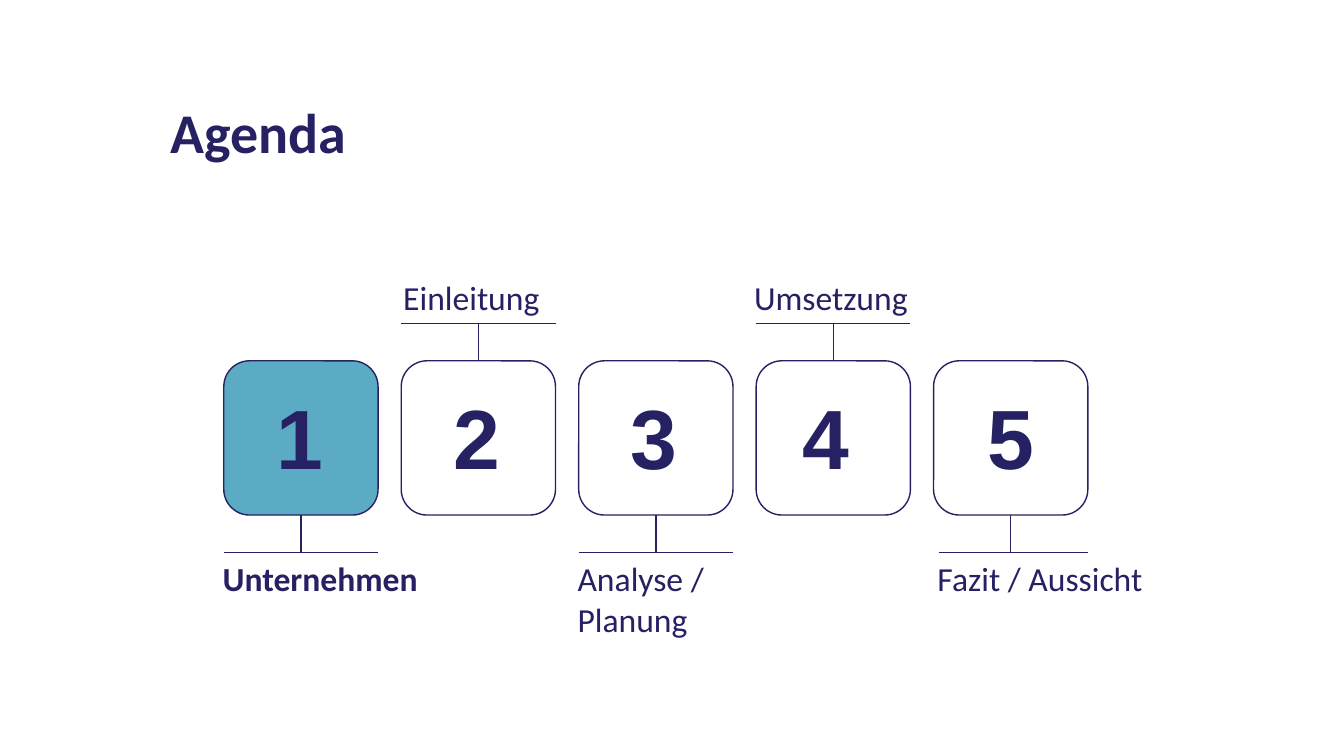
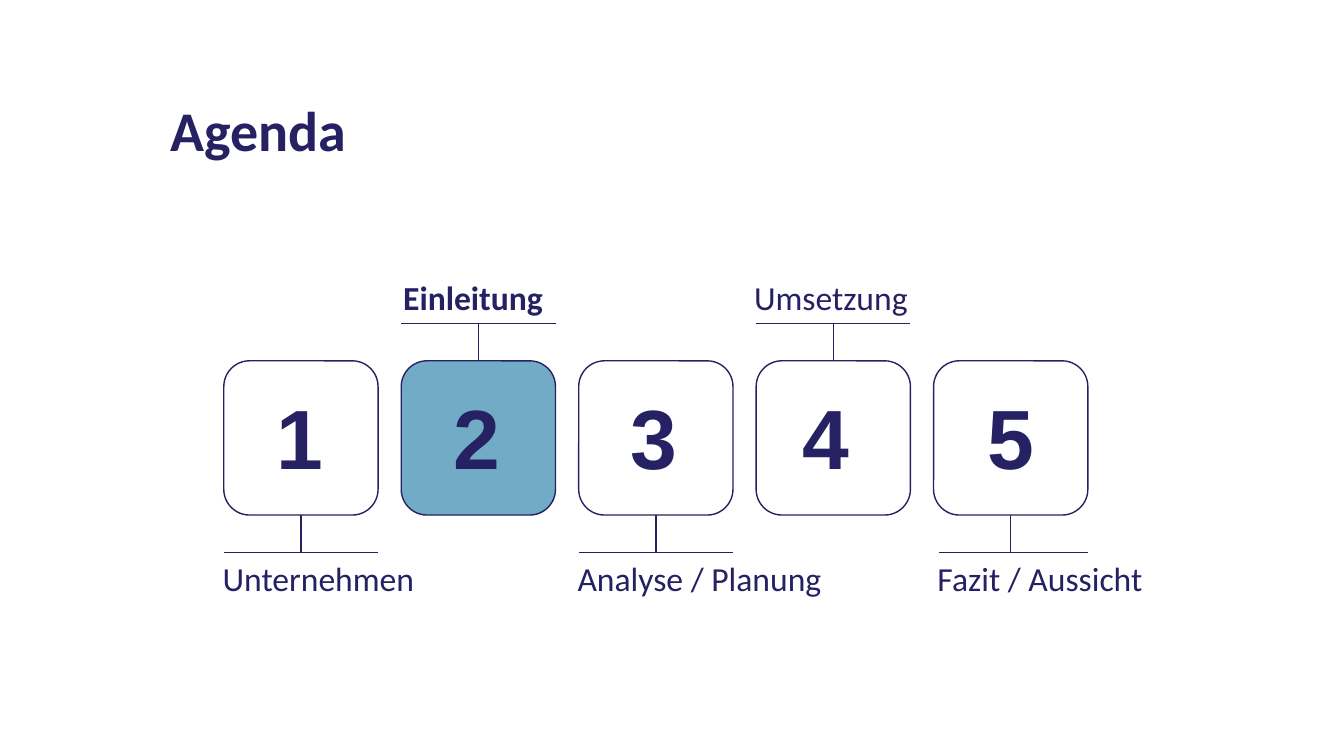
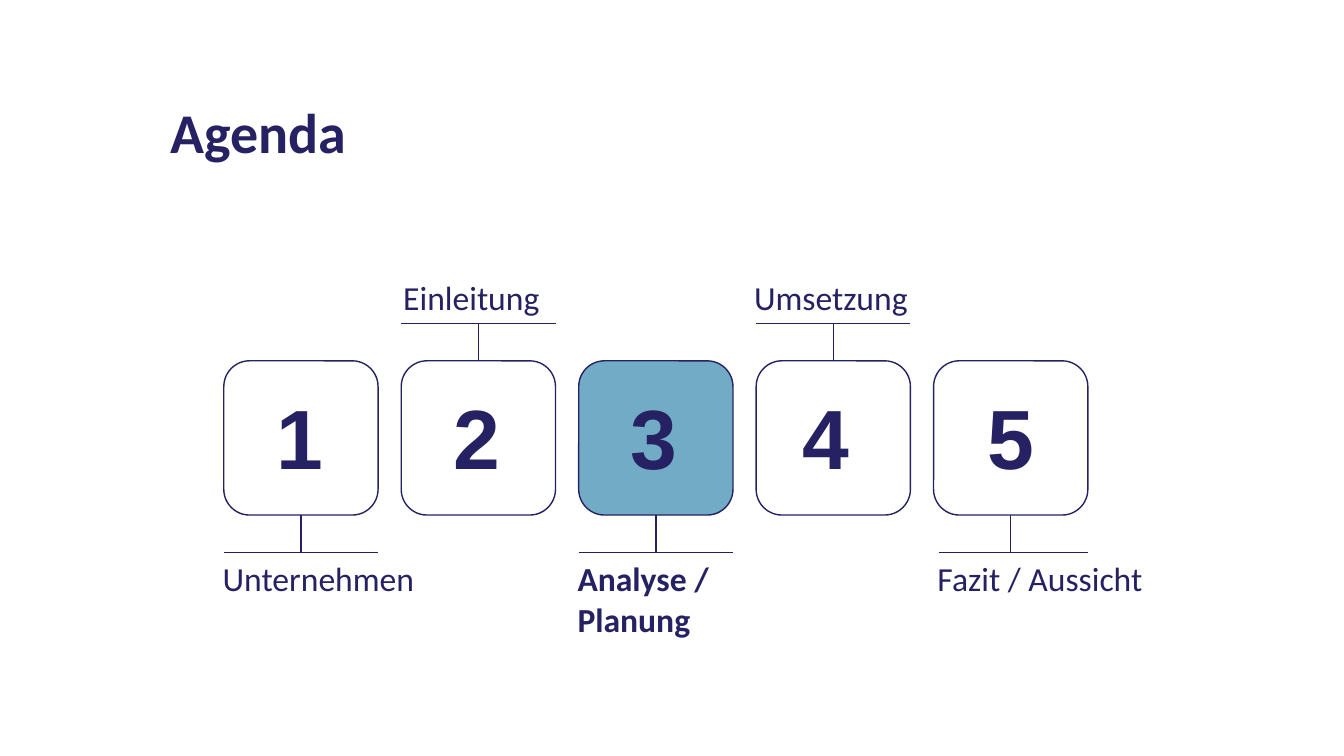
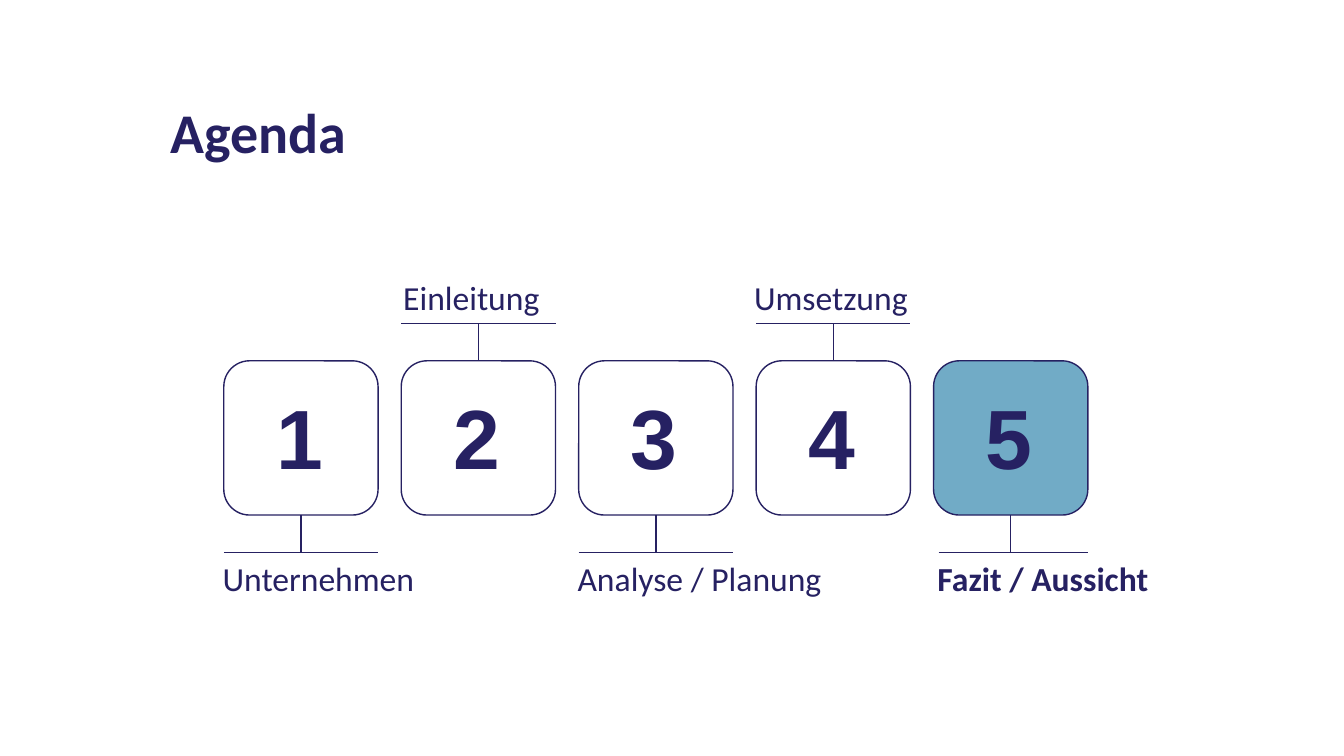
from dataclasses import dataclass

from lxml.etree import SubElement
from pptx import Presentation
from pptx.dml.color import RGBColor
from pptx.enum.shapes import MSO_CONNECTOR, MSO_SHAPE
from pptx.enum.text import MSO_ANCHOR, MSO_AUTO_SIZE, PP_ALIGN
from pptx.oxml.ns import qn
from pptx.util import Inches, Pt

NAVY = "262162"
TEAL = "007CA4"
SKY = "71ABC6"
HEADING_FONT = "Calibri"
NUMBER_FONT = "Arial"

FIRST_COLUMN = 2.22
COLUMN_PITCH = 1.76
BOX_SIZE = 1.53
BOX_TOP = 3.58
BOX_BOTTOM = BOX_TOP + BOX_SIZE
STEM_LENGTH = 0.37
NUMBER_INSET = 0.42
NUMBER_TOP = 3.78


@dataclass
class Step:
    label: str
    above: bool
    label_shift: float
    label_width: float = 2.35
    rule_inset: float = 0


STEPS = [
    Step("Unternehmen", False, -0.11),
    Step("Einleitung", True, -0.08),
    Step("Analyse / Planung", False, -0.11, label_width=2.64),
    Step("Umsetzung", True, -0.12),
    Step("Fazit / Aussicht", False, -0.06, label_width=2.57, rule_inset=0.05),
]


@dataclass
class Agenda:
    """One agenda slide; number_shifts moves single numbers sideways."""
    active: int
    highlight: str
    opacity: int
    number_shifts: dict
    label_widths: dict
    title_top: float = 0.29


OFF_CENTRE = {4: -0.06, 5: 0.02}
AGENDAS = [
    Agenda(1, TEAL, 64, OFF_CENTRE, {3: 2.58}),
    Agenda(2, SKY, 100, OFF_CENTRE, {}, title_top=0.27),
    Agenda(3, SKY, 100, OFF_CENTRE, {}),
    Agenda(5, SKY, 100, {}, {3: 2.81}),
]


def colour(hex_value):
    return RGBColor.from_string(hex_value)


def write_text(shape, text, size, font=HEADING_FONT, bold=False,
               anchor=MSO_ANCHOR.TOP, spacing=1.0, fit=MSO_AUTO_SIZE.SHAPE_TO_FIT_TEXT):
    frame = shape.text_frame
    frame.word_wrap = True
    frame.auto_size = fit
    frame.vertical_anchor = anchor
    paragraph = frame.paragraphs[0]
    paragraph.alignment = PP_ALIGN.LEFT
    paragraph.line_spacing = spacing
    run = paragraph.add_run()
    run.text = text
    run.font.name = font
    run.font.size = Pt(size)
    run.font.bold = bold
    run.font.color.rgb = colour(NAVY)


def add_text(slide, left, top, width, height, text, **text_format):
    shape = slide.shapes.add_textbox(
        Inches(left), Inches(top), Inches(width), Inches(height))
    write_text(shape, text, **text_format)


def add_title(slide, text, top):
    title = slide.shapes.title
    title.left, title.top = Inches(1.59), Inches(top)
    title.width, title.height = Inches(4.19), Inches(2.11)
    write_text(title, text, size=40, bold=True, anchor=MSO_ANCHOR.MIDDLE,
               spacing=0.9, fit=MSO_AUTO_SIZE.NONE)


def add_line(slide, x1, y1, x2, y2):
    line = slide.shapes.add_connector(
        MSO_CONNECTOR.STRAIGHT, Inches(x1), Inches(y1), Inches(x2), Inches(y2))
    line.line.color.rgb = colour(NAVY)
    line.line.width = Pt(1)
    SubElement(line._element.spPr, qn("a:effectLst"))


def add_box(slide, left, fill=None, opacity=100):
    box = slide.shapes.add_shape(
        MSO_SHAPE.ROUNDED_RECTANGLE, Inches(left), Inches(BOX_TOP),
        Inches(BOX_SIZE), Inches(BOX_SIZE))
    box.shadow.inherit = False
    box.line.color.rgb = colour(NAVY)
    box.line.width = Pt(1)
    if fill is None:
        box.fill.background()
        return
    box.fill.solid()
    box.fill.fore_color.rgb = colour(fill)
    if opacity < 100:
        fill_colour = box._element.spPr.find(qn("a:solidFill"))[0]
        SubElement(fill_colour, qn("a:alpha"), val=str(opacity * 1000))


def add_step(slide, number, step, agenda):
    left = FIRST_COLUMN + (number - 1) * COLUMN_PITCH
    right = left + BOX_SIZE
    centre = left + BOX_SIZE / 2
    active = number == agenda.active
    if step.above:
        edge, rule, label_top = BOX_TOP, BOX_TOP - STEM_LENGTH, 2.7
    else:
        edge, rule, label_top = BOX_BOTTOM, BOX_BOTTOM + STEM_LENGTH, 5.49

    add_box(slide, left, agenda.highlight if active else None, agenda.opacity)
    add_line(slide, centre, edge, centre, rule)
    add_line(slide, left + step.rule_inset, rule, right, rule)
    number_left = left + NUMBER_INSET + agenda.number_shifts.get(number, 0)
    add_text(slide, number_left, NUMBER_TOP, 0.73, 1.11, str(number),
             size=60, font=NUMBER_FONT, bold=True)
    label_width = agenda.label_widths.get(number, step.label_width)
    add_text(slide, left + step.label_shift, label_top, label_width, 0.5,
             step.label, size=24, bold=active)


def add_agenda_slide(presentation, agenda):
    title_only = presentation.slide_layouts[5]
    slide = presentation.slides.add_slide(title_only)
    add_title(slide, "Agenda", agenda.title_top)
    for number, step in enumerate(STEPS, start=1):
        add_step(slide, number, step, agenda)


def main():
    presentation = Presentation()
    presentation.slide_width = Inches(13.33)
    presentation.slide_height = Inches(7.5)
    for agenda in AGENDAS:
        add_agenda_slide(presentation, agenda)
    presentation.save("out.pptx")


if __name__ == "__main__":
    main()
